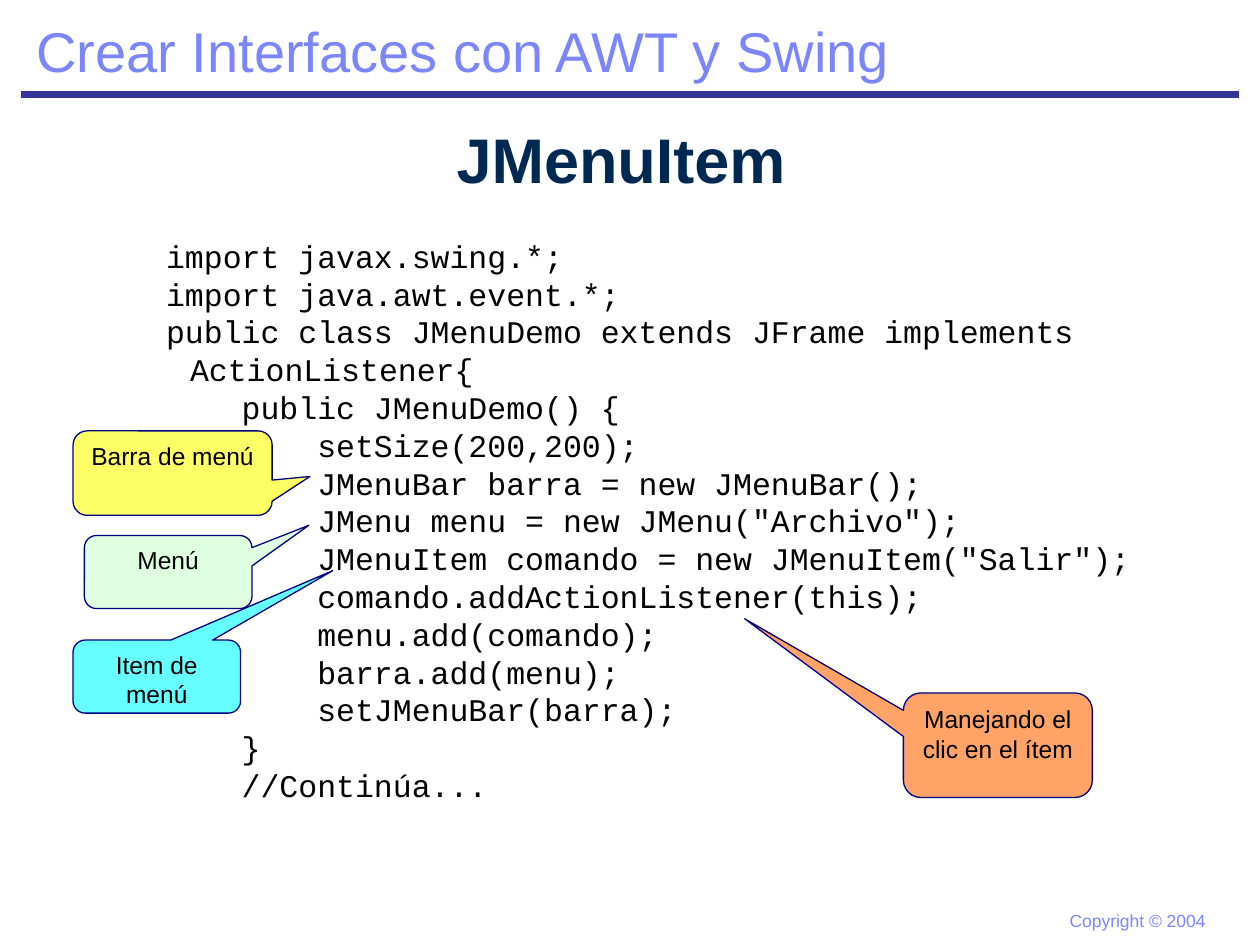
from dataclasses import dataclass

from lxml import etree
from pptx import Presentation
from pptx.dml.color import RGBColor
from pptx.enum.shapes import MSO_CONNECTOR, MSO_SHAPE
from pptx.enum.text import MSO_ANCHOR, PP_ALIGN
from pptx.oxml.ns import qn
from pptx.util import Inches, Pt

STRAIGHT = MSO_CONNECTOR.STRAIGHT
CALLOUT = MSO_SHAPE.ROUNDED_RECTANGULAR_CALLOUT
TOP, MIDDLE = MSO_ANCHOR.TOP, MSO_ANCHOR.MIDDLE
LEFT, CENTER = PP_ALIGN.LEFT, PP_ALIGN.CENTER


@dataclass(frozen=True)
class Theme:
    lavender: str = "7C85FC"
    rule: str = "333399"
    title: str = "002952"
    black: str = "000000"
    outline: str = "000080"
    yellow: str = "FFFF00"
    green: str = "CCFFCC"
    cyan: str = "00FFFF"
    orange: str = "FF6600"
    sans: str = "Arial"
    mono: str = "Courier New"
    header_size: int = 32
    title_size: int = 36
    code_size: int = 18
    label_size: int = 14
    footer_size: int = 10


theme = Theme()

CODE = """import javax.swing.*;
import java.awt.event.*;
public class JMenuDemo extends JFrame implements ActionListener{
    public JMenuDemo() {
        setSize(200,200);
        JMenuBar barra = new JMenuBar();
        JMenu menu = new JMenu("Archivo");
        JMenuItem comando = new JMenuItem("Salir");
        comando.addActionListener(this);
        menu.add(comando);
        barra.add(menu);
        setJMenuBar(barra);
    }
    //Continúa..."""


def write(shape, text, size, color, font=theme.sans, align=LEFT, anchor=TOP, wrap=True, bold=False):
    frame = shape.text_frame
    frame.text = text
    frame.word_wrap = wrap
    frame.vertical_anchor = anchor
    for paragraph in frame.paragraphs:
        paragraph.alignment = align
        paragraph.font.name = font
        paragraph.font.size = Pt(size)
        paragraph.font.bold = bold
        paragraph.font.color.rgb = RGBColor.from_string(color)
    return frame


def add_text(left, top, width, height, *content, **style):
    box = slide.shapes.add_textbox(Inches(left), Inches(top), Inches(width), Inches(height))
    return write(box, *content, **style)


presentation = Presentation()
presentation.slide_width = Inches(10)
presentation.slide_height = Inches(7.5)
slide = presentation.slides.add_slide(presentation.slide_layouts[6])

header_rule = slide.shapes.add_connector(STRAIGHT, Inches(0.17), Inches(0.75), Inches(9.83), Inches(0.75))
header_rule.line.color.rgb = RGBColor.from_string(theme.rule)
header_rule.line.width = Pt(4.5)
etree.SubElement(header_rule._element.spPr, qn("a:effectLst"))

add_text(8.39, 7.17, 1.28, 0.27, "Copyright © 2004", theme.footer_size, theme.lavender, wrap=False)
add_text(0.19, 0.08, 7.02, 0.64, "Crear Interfaces con AWT y Swing", theme.header_size, theme.lavender, wrap=False)
title_frame = add_text(0, 0.92, 10, 0.67, "JMenuItem", theme.title_size, theme.title,
                       align=CENTER, anchor=MIDDLE, bold=True)
title_frame.margin_right = Inches(0.24)

code_frame = add_text(0.92, 1.83, 8.5, 5.17, CODE, theme.code_size, theme.black, font=theme.mono)
for paragraph in code_frame.paragraphs:
    properties = paragraph._p.get_or_add_pPr()
    properties.set("marL", str(Inches(0.49)))
    properties.set("indent", str(Inches(-0.19)))

callouts = [
    ("Barra de menú", theme.yellow, 0.58, 3.42, 1.58, 0.67, 0.69, 0.04),
    ("Menú", theme.green, 0.67, 4.25, 1.33, 0.58, 0.84, -0.64),
    ("Item de menú", theme.cyan, 0.58, 5.08, 1.33, 0.58, 1.05, -1.45),
    ("Manejando el clic en el ítem", theme.orange, 7.17, 5.5, 1.5, 0.83, -1.34, -1.21),
]
for label, color, left, top, width, height, tip_x, tip_y in callouts:
    callout = slide.shapes.add_shape(CALLOUT, Inches(left), Inches(top), Inches(width), Inches(height))
    callout.shadow.inherit = False
    callout.adjustments[0] = tip_x
    callout.adjustments[1] = tip_y
    callout.fill.solid()
    callout.fill.fore_color.rgb = RGBColor.from_string(color)
    fill_color = callout._element.spPr.find(qn("a:solidFill")).find(qn("a:srgbClr"))
    etree.SubElement(fill_color, qn("a:alpha"), val="60000")
    callout.line.color.rgb = RGBColor.from_string(theme.outline)
    callout.line.width = Pt(0.75)
    write(callout, label, theme.label_size, theme.black, align=CENTER)

presentation.save("out.pptx")
